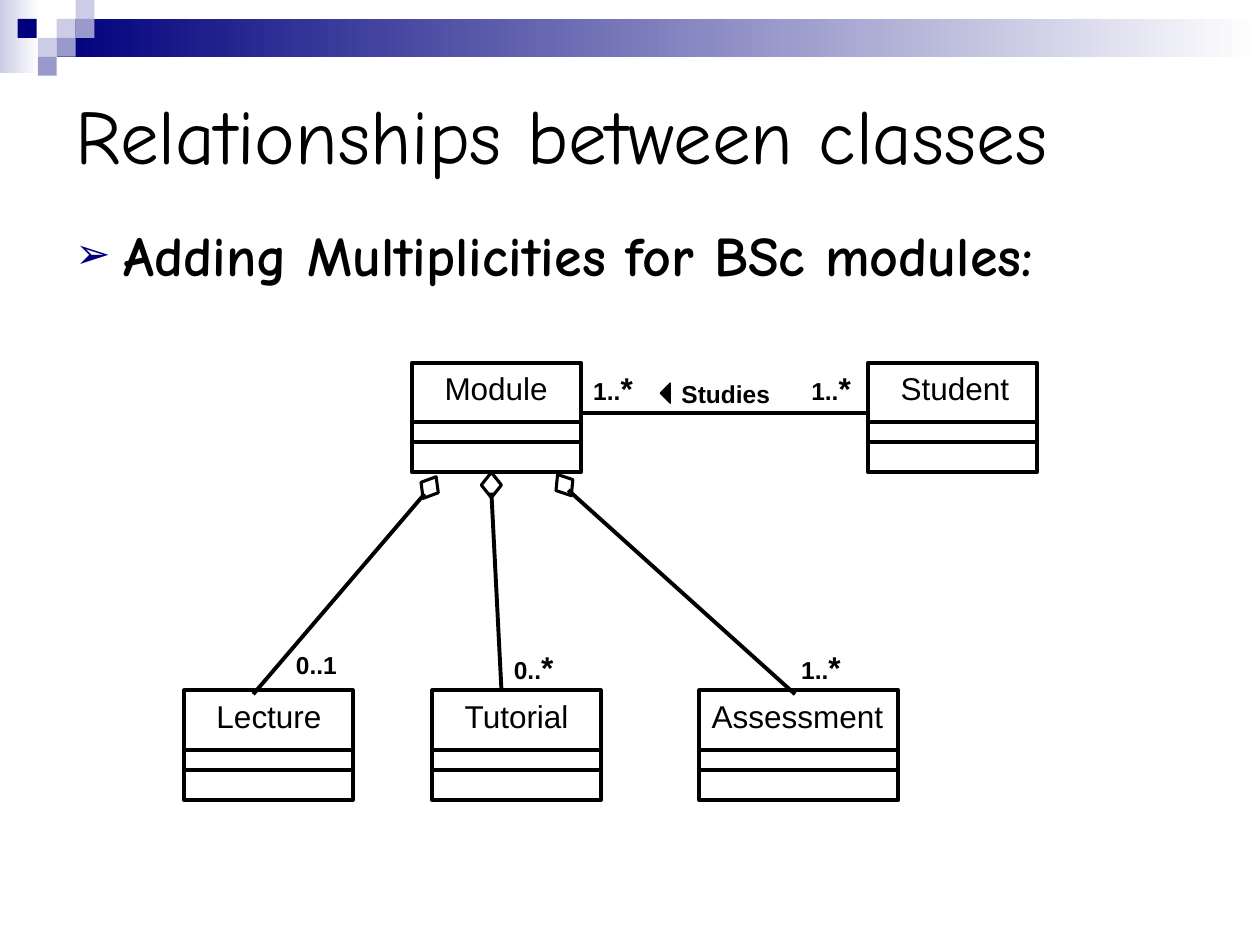
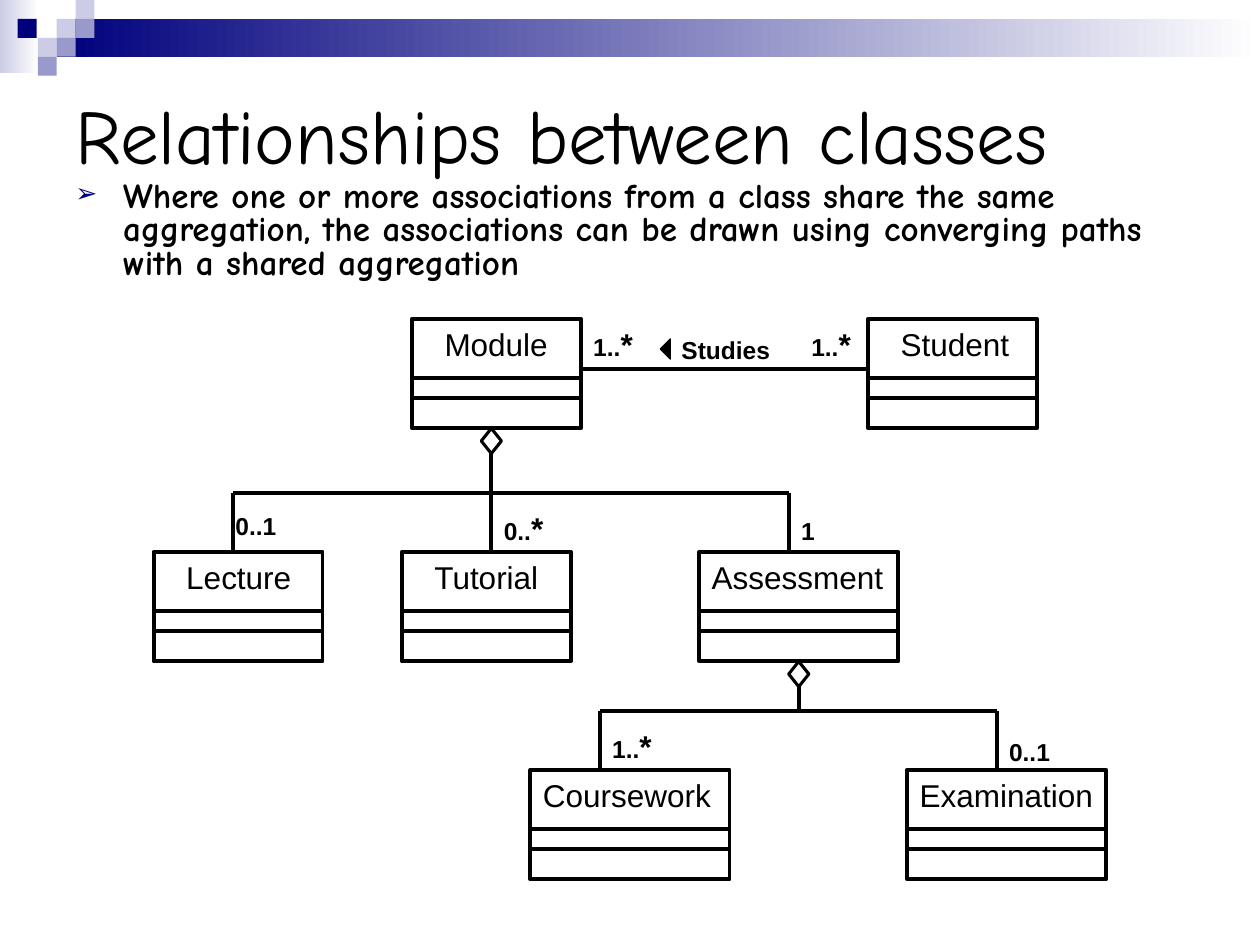
import dataclasses

import lxml.etree
import pptx
import pptx.dml.color
import pptx.enum.shapes
import pptx.enum.text
import pptx.oxml.ns
import pptx.util

PX = 9144  # EMU per px, 100 px to the inch
SHAPE = pptx.enum.shapes.MSO_SHAPE
ANCHOR = pptx.enum.text.MSO_ANCHOR


@dataclasses.dataclass(frozen=True)
class Theme:
    ink: str = "000000"
    paper: str = "FFFFFF"
    navy: str = "00007D"
    mid: str = "9999CC"
    pale: str = "CCCCE6"
    heading_font: str = "Comic Neue"
    diagram_font: str = "Arial"
    title_size: int = 44
    class_size: int = 18
    role_size: int = 14
    line: float = 2.25
    diamond_line: float = 1.75
    arrow_line: float = 0.75


def rgb(value):
    return pptx.dml.color.RGBColor.from_string(value)


class Deck:
    CLASS_HEIGHT = 87
    DIVIDERS = (47, 63)

    def __init__(self, theme):
        self.theme = theme
        self.presentation = pptx.Presentation()
        self.presentation.slide_width = 1000 * PX
        self.presentation.slide_height = 750 * PX
        self.slide = None

    # Basic elements
    def shape(self, kind, left, top, width, height, fill=None, line=None, rotation=0):
        """Fill is None, one colour, or a pair of colours for a gradient."""
        shape = self.slide.shapes.add_shape(kind, left * PX, top * PX, width * PX, height * PX)
        shape.shadow.inherit = False
        shape.rotation = rotation
        if fill is None:
            shape.fill.background()
        elif isinstance(fill, tuple):
            shape.fill.gradient()
            shape.fill.gradient_angle = 0
            for stop, colour in zip(shape.fill.gradient_stops, fill):
                stop.color.rgb = rgb(colour)
        else:
            shape.fill.solid()
            shape.fill.fore_color.rgb = rgb(fill)
        if line is None:
            shape.line.fill.background()
        else:
            shape.line.color.rgb = rgb(self.theme.ink)
            shape.line.width = pptx.util.Pt(line)

    def line(self, x1, y1, x2, y2):
        link = self.slide.shapes.add_connector(
            pptx.enum.shapes.MSO_CONNECTOR.STRAIGHT, x1 * PX, y1 * PX, x2 * PX, y2 * PX)
        link.line.color.rgb = rgb(self.theme.ink)
        link.line.width = pptx.util.Pt(self.theme.line)
        lxml.etree.SubElement(link._element.spPr, pptx.oxml.ns.qn("a:effectLst"))

    def text(self, left, top, width, height, runs, font, bold=False,
             before=0, anchor=ANCHOR.TOP):
        """Runs are (text, size) pairs; returns the paragraph."""
        box = self.slide.shapes.add_textbox(left * PX, top * PX, width * PX, height * PX)
        frame = box.text_frame
        frame.word_wrap = True
        frame.vertical_anchor = anchor
        paragraph = frame.paragraphs[0]
        paragraph.space_before = pptx.util.Pt(before)
        for words, size in runs:
            run = paragraph.add_run()
            run.text = words
            run.font.name = font
            run.font.size = pptx.util.Pt(size)
            run.font.bold = bold
            run.font.color.rgb = rgb(self.theme.ink)
        return paragraph

    # Slide furniture
    def new_slide(self, title):
        theme = self.theme
        self.slide = self.presentation.slides.add_slide(self.presentation.slide_layouts[6])
        self.shape(SHAPE.RECTANGLE, 0, 0, 31, 58, (theme.pale, theme.paper))
        self.shape(SHAPE.RECTANGLE, 45, 15, 955, 30, (theme.navy, theme.paper))
        for left, top, colour in (
            (45, 15, theme.pale), (60, 0, theme.pale), (60, 15, theme.mid),
            (30, 30, theme.pale), (14, 15, theme.navy), (45, 30, theme.mid),
            (30, 45, theme.mid),
        ):
            self.shape(SHAPE.RECTANGLE, left, top, 15, 15, colour)
        self.text(50, 50, 900, 112, [(title, theme.title_size)],
                  theme.heading_font, anchor=ANCHOR.MIDDLE)

    def bullet(self, top, words, size, spacing=1.0):
        paragraph = self.text(50, top, 900, 102, [(words, size)],
                              self.theme.heading_font, bold=True, before=size / 4)
        paragraph.line_spacing = spacing
        props = paragraph._p.get_or_add_pPr()
        props.set("marL", str(38 * PX))
        props.set("indent", str(-38 * PX))
        qn = pptx.oxml.ns.qn
        colour = lxml.etree.SubElement(props, qn("a:buClr"))
        lxml.etree.SubElement(colour, qn("a:srgbClr"), val=self.theme.navy)
        lxml.etree.SubElement(props, qn("a:buSzPct"), val="75000")
        lxml.etree.SubElement(props, qn("a:buFont"), typeface=self.theme.diagram_font)
        lxml.etree.SubElement(props, qn("a:buChar"), char="➢")

    # Class diagram parts
    def uml_class(self, name, left, top, width=134, indent=16):
        size = self.theme.class_size
        self.text(left + indent, top, max(126, width - indent), 40, [(name, size)],
                  self.theme.diagram_font, before=size * 5 / 8)
        self.shape(SHAPE.RECTANGLE, left, top, width, self.CLASS_HEIGHT, line=self.theme.line)
        for offset in self.DIVIDERS:
            self.line(left, top + offset, left + width, top + offset)

    def wide_class(self, name, left, top):
        self.uml_class(name, left, top, width=158, indent=0)

    def role(self, words, left, top, width=71):
        """Bold label of an association; a star is set larger."""
        theme = self.theme
        starred = words.endswith("*")
        runs = [(words.rstrip("*"), theme.role_size)]
        if starred:
            runs.append(("*", theme.class_size))
        self.text(left, top, width, 40 if starred else 34, runs, theme.diagram_font,
                  bold=True, before=runs[-1][1] * 5 / 8)

    def diamond(self, centre, top, rotation=0):
        self.shape(SHAPE.DIAMOND, centre - 8, top, 16, 20,
                   line=self.theme.diamond_line, rotation=rotation)

    def module_and_student(self, top):
        self.uml_class("Module", 327, top)
        self.uml_class("Student", 689, top)
        self.line(461, top + 40, 689, top + 40)
        self.role("1..*", 461, top)
        self.role("1..*", 634, top)
        self.role("Studies", 531, top + 8, width=102)
        self.shape(SHAPE.ISOSCELES_TRIANGLE, 520, top + 20, 16, 8, self.theme.ink,
                   self.theme.arrow_line, rotation=270)

    def shared_aggregation(self, parent, parent_bottom, bar, children, children_top):
        self.diamond(parent, parent_bottom)
        self.line(parent, parent_bottom + 19, parent, bar)
        self.line(children[0], bar, children[-1], bar)
        for child in children:
            self.line(child, bar, child, children_top)


def multiplicities(deck):
    deck.new_slide("Relationships between classes")
    deck.bullet(170, "Adding Multiplicities for BSc modules:", 32)
    deck.module_and_student(288)

    # Parts of a module
    deck.uml_class("Lecture", 146, 548)
    deck.uml_class("Tutorial", 343, 548)
    deck.wide_class("Assessment", 555, 548)

    # Separate aggregations
    for centre, top, rotation, link in (
        (341, 377, 31, (201, 551, 337, 392)),
        (390, 375, 0, (390, 391, 398, 548)),
        (448, 375, 327, (631, 551, 451, 389)),
    ):
        deck.diamond(centre, top, rotation)
        deck.line(*link)
    deck.role("0..1", 225, 511)
    deck.role("0..*", 398, 509)
    deck.role("1..*", 626, 509)


def converging_paths(deck):
    deck.new_slide("Relationships between classes")
    deck.bullet(139, "Where one or more associations from a class share the same "
                "aggregation, the associations can be drawn using converging paths "
                "with a shared aggregation", 20, spacing=0.8)
    deck.module_and_student(253)

    # Parts of a module
    deck.uml_class("Lecture", 122, 438)
    deck.uml_class("Tutorial", 319, 438)
    deck.wide_class("Assessment", 555, 438)
    deck.shared_aggregation(390, 340, 391, (185, 390, 626), 438)
    deck.role("0..1", 177, 401)
    deck.role("0..*", 390, 399)
    deck.role("1", 626, 405)

    # Parts of an assessment
    deck.wide_class("Coursework", 421, 611)
    deck.wide_class("Examination", 720, 611)
    deck.shared_aggregation(634, 525, 564, (476, 791), 611)
    deck.role("1..*", 476, 572)
    deck.role("0..1", 791, 580)


def main():
    deck = Deck(Theme())
    multiplicities(deck)
    converging_paths(deck)
    deck.presentation.save("out.pptx")


if __name__ == "__main__":
    main()
